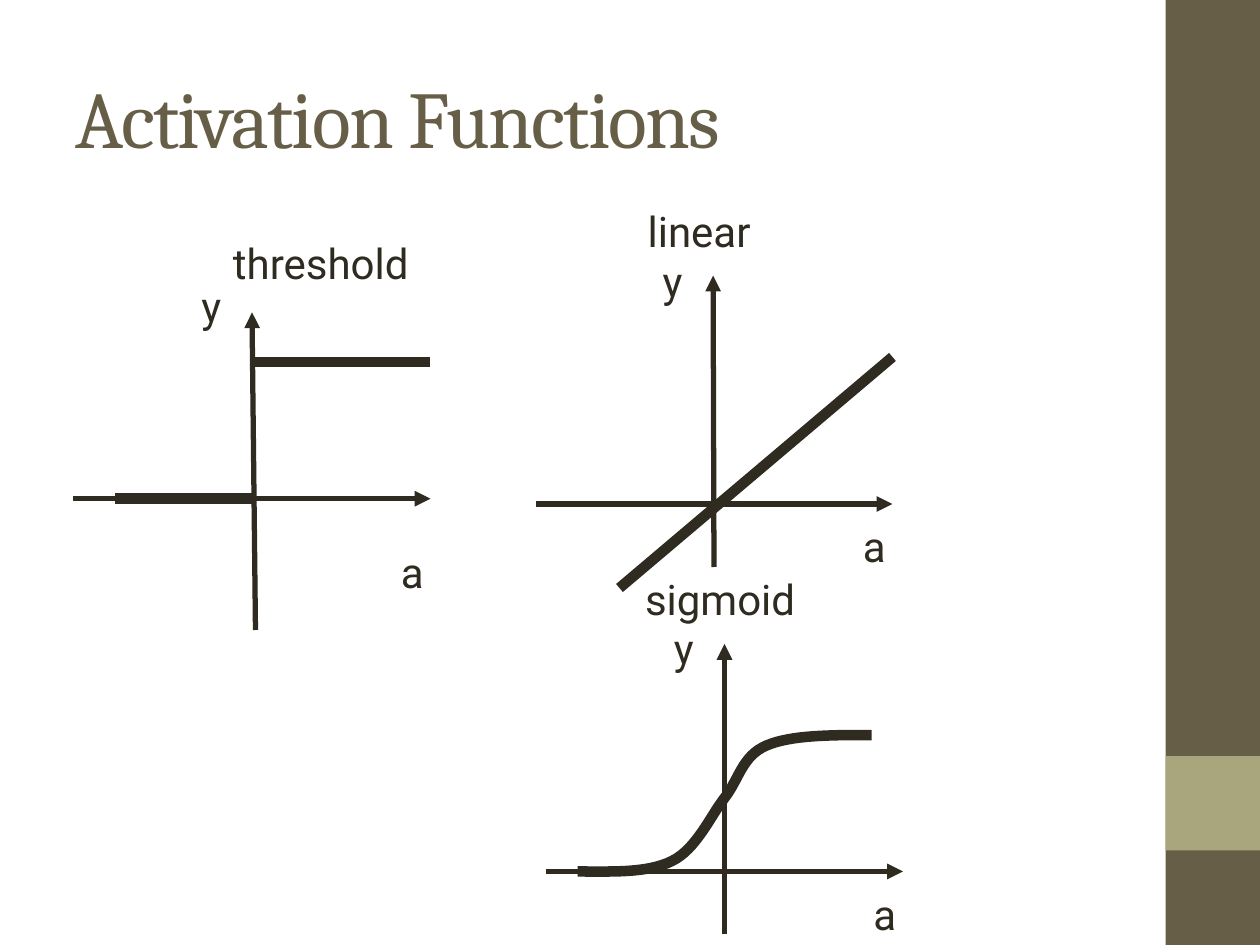
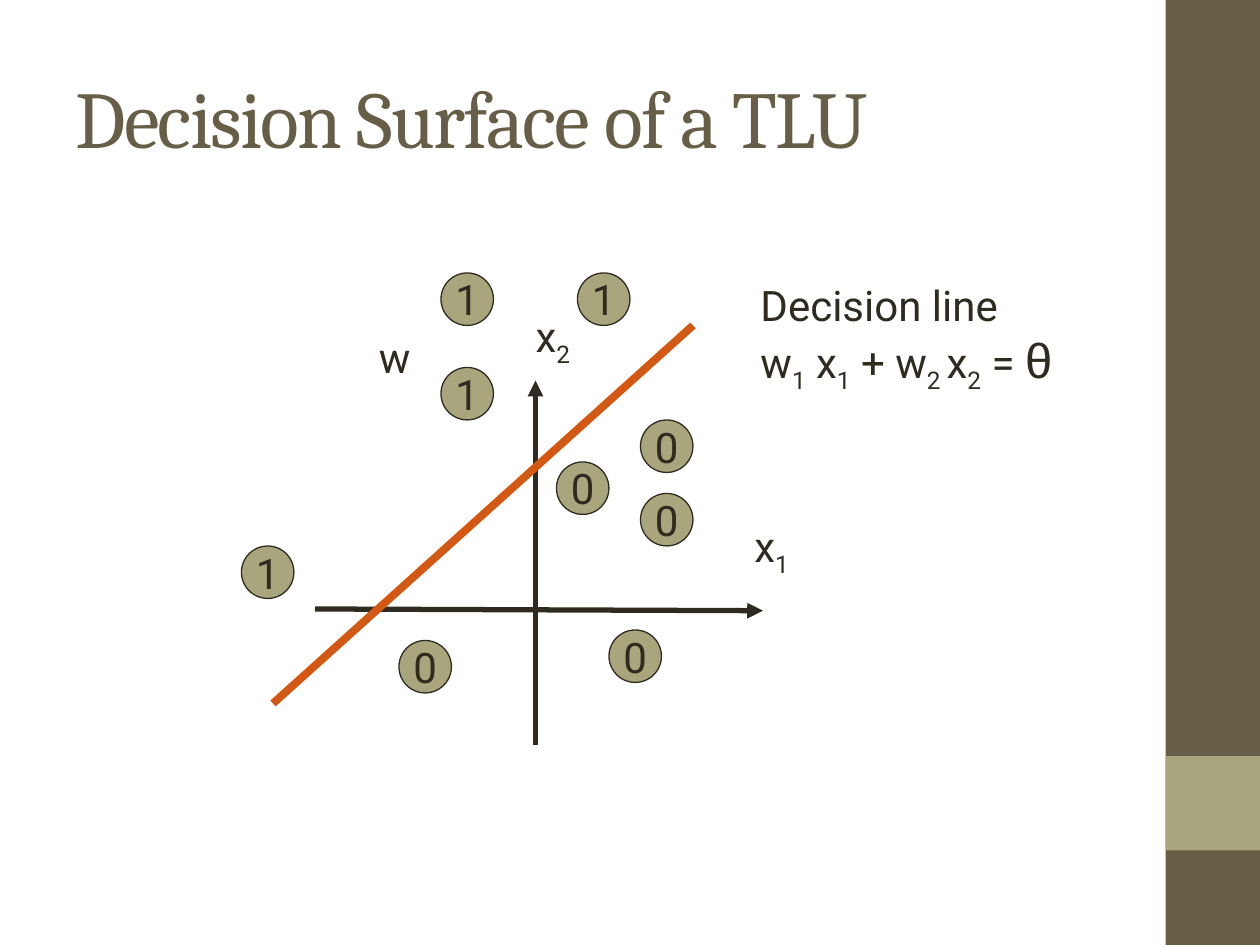
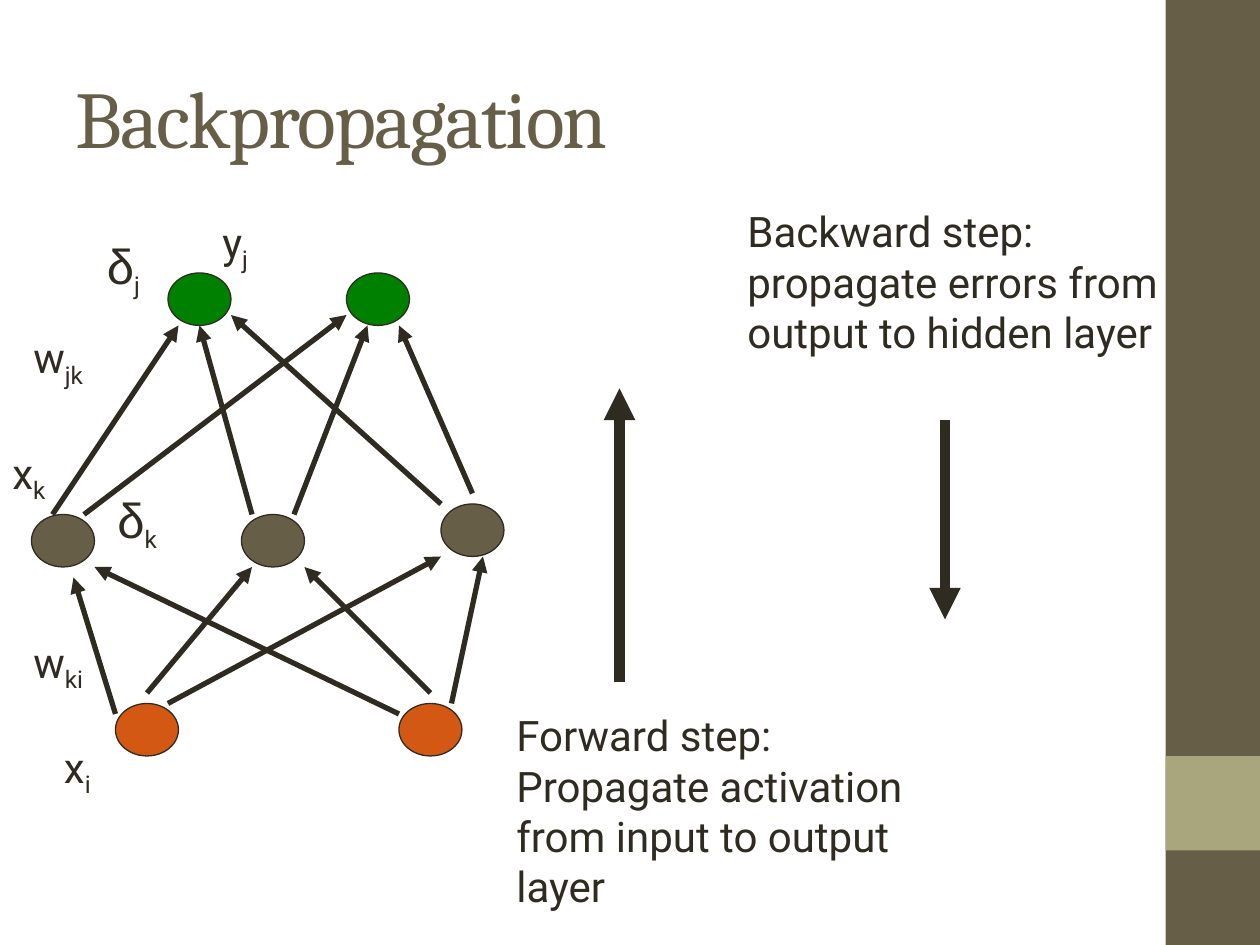
from lxml import etree
from pptx import Presentation
from pptx.dml.color import RGBColor
from pptx.enum.shapes import MSO_CONNECTOR, MSO_SHAPE
from pptx.enum.text import MSO_ANCHOR, MSO_AUTO_SIZE, PP_ALIGN
from pptx.oxml.ns import qn
from pptx.util import Pt

STRAIGHT = MSO_CONNECTOR.STRAIGHT
OVAL, RECTANGLE = MSO_SHAPE.OVAL, MSO_SHAPE.RECTANGLE
MIDDLE = MSO_ANCHOR.MIDDLE
LEFT, CENTER = PP_ALIGN.LEFT, PP_ALIGN.CENTER
NO_FIT, GROW = MSO_AUTO_SIZE.NONE, MSO_AUTO_SIZE.SHAPE_TO_FIT_TEXT

INK, OLIVE, SAGE, ORANGE, GREEN = "2F2B20", "675E47", "A9A57C", "D25814", "008000"
TITLE_FONT = {"name": "Cambria", "size": Pt(46)}
BODY_FONT = {"name": "Roboto", "size": Pt(24)}
GREEK_FONT = {"name": "Arial", "size": Pt(28)}
GREEK = "θδ"


def rgb(color):
    return RGBColor.from_string(color)


def apply(target, values):
    for name, value in values.items():
        setattr(target, name, value)


def bezier(start, control_1, control_2, end, steps=16):
    for step in range(1, steps + 1):
        t = step / steps
        weights = ((1 - t) ** 3, 3 * t * (1 - t) ** 2, 3 * t * t * (1 - t), t ** 3)
        corners = (start, control_1, control_2, end)
        yield tuple(sum(w * c[axis] for w, c in zip(weights, corners)) for axis in (0, 1))


class Deck:
    def __init__(self):
        self.presentation = Presentation()
        apply(self.presentation, {"slide_width": Pt(720), "slide_height": Pt(540)})
        self.layout = self.presentation.slide_layouts[5]
        self.slide = None

    def start_slide(self, title):
        first = self.slide is None
        self.slide = self.presentation.slides.add_slide(self.layout)
        if first:
            self.share_bands()
        heading = self.slide.shapes.title
        apply(heading, {"left": Pt(36), "top": Pt(21.5), "width": Pt(600), "height": Pt(90)})
        apply(heading.text_frame, {"vertical_anchor": MIDDLE, "auto_size": NO_FIT, "word_wrap": True})
        paragraph = heading.text_frame.paragraphs[0]
        paragraph.alignment = LEFT
        self.add_run(paragraph, title, TITLE_FONT, OLIVE, spc="-100")

    def share_bands(self):
        for number, (top, height, color) in enumerate([(0, 540, OLIVE), (432, 54, SAGE)]):
            band = self.shape(RECTANGLE, 666, top, 54, height, color)
            band.line.fill.background()
            band.element.nvSpPr.cNvPr.id = 100 + number
            self.layout.shapes.element.append(band.element)

    def add_run(self, paragraph, text, font, color=INK, **attributes):
        run = paragraph.add_run()
        run.text = text
        apply(run.font, font)
        run.font.color.rgb = rgb(color)
        for name, value in attributes.items():
            run._r.get_or_add_rPr().set(name, value)

    def add_formula(self, paragraph, text):
        for position, part in enumerate(text.split("|")):
            if part in GREEK:
                self.add_run(paragraph, part, GREEK_FONT)
            elif position % 2:
                self.add_run(paragraph, part, BODY_FONT, baseline="-25000")
            else:
                self.add_run(paragraph, part, BODY_FONT)

    def text(self, lines, left, top, width, height=36, wrap=False):
        frame = self.slide.shapes.add_textbox(Pt(left), Pt(top), Pt(width), Pt(height)).text_frame
        apply(frame, {"word_wrap": wrap, "auto_size": GROW})
        for number, line in enumerate(lines.split("\n")):
            self.add_formula(frame.add_paragraph() if number else frame.paragraphs[0], line)

    def shape(self, preset, left, top, width, height, color):
        shape = self.slide.shapes.add_shape(preset, Pt(left), Pt(top), Pt(width), Pt(height))
        shape.shadow.inherit = False
        shape.fill.solid()
        shape.fill.fore_color.rgb = rgb(color)
        return shape

    def node(self, left, top, color, width=36, label=None):
        node = self.shape(OVAL, left, top, width, 30, color)
        self.stroke(node.line, INK, 0.75)
        if label:
            apply(node.text_frame, {"word_wrap": False, "vertical_anchor": MIDDLE})
            paragraph = node.text_frame.paragraphs[0]
            paragraph.alignment = CENTER
            self.add_formula(paragraph, label)

    def stroke(self, line, color, weight):
        line.color.rgb = rgb(color)
        line.width = Pt(weight)

    def line(self, start, end, weight=6, color=INK, arrow=False):
        connector = self.slide.shapes.add_connector(STRAIGHT, *map(Pt, start + end))
        self.stroke(connector.line, color, weight)
        properties = connector.element.spPr
        if arrow:
            etree.SubElement(properties.find(qn("a:ln")), qn("a:tailEnd"), type="triangle")
        etree.SubElement(properties, qn("a:effectLst"))

    def arrow(self, start, end, weight=3):
        self.line(start, end, weight, arrow=True)

    def curve(self, start, segments, weight=6):
        points = []
        corner = start
        for segment in segments:
            points += bezier(corner, *segment)
            corner = segment[-1]
        builder = self.slide.shapes.build_freeform(*map(Pt, start))
        builder.add_line_segments([tuple(map(Pt, point)) for point in points], close=False)
        outline = builder.convert_to_shape()
        outline.shadow.inherit = False
        outline.fill.background()
        self.stroke(outline.line, INK, weight)


def activation_functions(deck):
    deck.start_slide("Activation Functions")
    plots = [
        ("threshold", (126, 132, 123), (42, 285), (146, 360), (144, 178.5), 24, 21.5),
        ("linear", (363, 114, 78.5), (306, 288), (408, 324), (407.5, 157.5), 6, 15),
        ("sigmoid", (361.5, 324, 104.5), (312, 498), (414, 534), (414, 368), 6, 16),
    ]
    for name, caption, x_start, y_start, y_end, a_drop, y_rise in plots:
        x_end = (x_start[0] + 204, x_start[1])
        deck.arrow(y_start, y_end)
        deck.arrow(x_start, x_end)
        deck.text("a", x_end[0] - 24, x_end[1] + a_drop, 27.5)
        deck.text("y", y_end[0] - 36, y_end[1] - y_rise, 26.5)
        deck.text(name, *caption)
    deck.line((66, 285), (144, 285))
    deck.line((144, 207), (246, 207))
    deck.line((354, 336), (510, 204))
    deck.curve((330, 498), [
        ((350, 498), (370, 499), (384, 492)),
        ((398, 485), (405.5, 467), (414, 456)),
        ((422.5, 445), (424, 432), (438, 426)),
        ((452, 420), (475, 420), (498, 420)),
    ])


def decision_surface(deck):
    deck.start_slide("Decision Surface of a TLU")
    deck.arrow((306, 426), (306, 217.5))
    deck.arrow((180, 348), (436, 349))
    deck.text("x|1", 424, 294, 34.5, 40)
    deck.text("x|2", 299, 174, 34.5, 40)
    deck.line((156, 402), (396, 186), 4.5, ORANGE)
    deck.text("Decision line\nw|1| x|1| + w|2 |x|2| = |θ", 427.5, 156, 186, 73)
    deck.text("w", 209.5, 186, 33)
    outputs = {
        "1": [(252, 210), (252, 156), (330, 156), (138, 312)],
        "0": [(366, 240), (366, 282), (348, 360), (228, 366), (318, 264)],
    }
    for output, places in outputs.items():
        for left, top in places:
            deck.node(left, top, SAGE, 30, output)


def backpropagation(deck):
    deck.start_slide("Backpropagation")
    weights = [
        ((96, 402), (252, 318)), ((84, 396), (144, 324)), ((66, 408), (42, 330)),
        ((258, 402), (276, 318)), ((246, 396), (174, 324)), ((228, 408), (54, 324)),
        ((252, 288), (132, 180)), ((168, 294), (210, 186)), ((48, 294), (198, 180)),
        ((30, 294), (102, 186)), ((144, 294), (114, 186)), ((270, 282), (228, 186)),
    ]
    for start, end in weights:
        deck.arrow(start, end)
    layers = {
        ORANGE: [(66, 402), (228, 402)],
        OLIVE: [(18, 294), (138, 294), (252, 288)],
        GREEN: [(96, 156), (198, 156)],
    }
    for color, places in layers.items():
        for left, top in places:
            deck.node(left, top, color)
    deck.text("x|i", 29.5, 420, 30, 40)
    symbols = [
        ("x|k", 0, 252, 36, 40), ("w|ki", 12, 360, 54, 40), ("w|jk", 12, 186, 54, 40),
        ("δ|j", 54, 131, 44, 44), ("δ|k", 60, 276, 44, 44), ("y|j", 120, 120, 44, 40),
    ]
    steps = [
        ("Backward step:\npropagate errors from output to hidden layer", 420, 114, 261, 122),
        ("Forward step:\nPropagate activation\nfrom input to output layer", 288, 402, 261, 122),
    ]
    for label in symbols + steps:
        deck.text(*label, wrap=True)
    deck.arrow((354, 390), (354, 222), 6)
    deck.arrow((540, 240), (540, 354), 6)


def main():
    deck = Deck()
    activation_functions(deck)
    decision_surface(deck)
    backpropagation(deck)
    deck.presentation.save("out.pptx")


if __name__ == "__main__":
    main()
